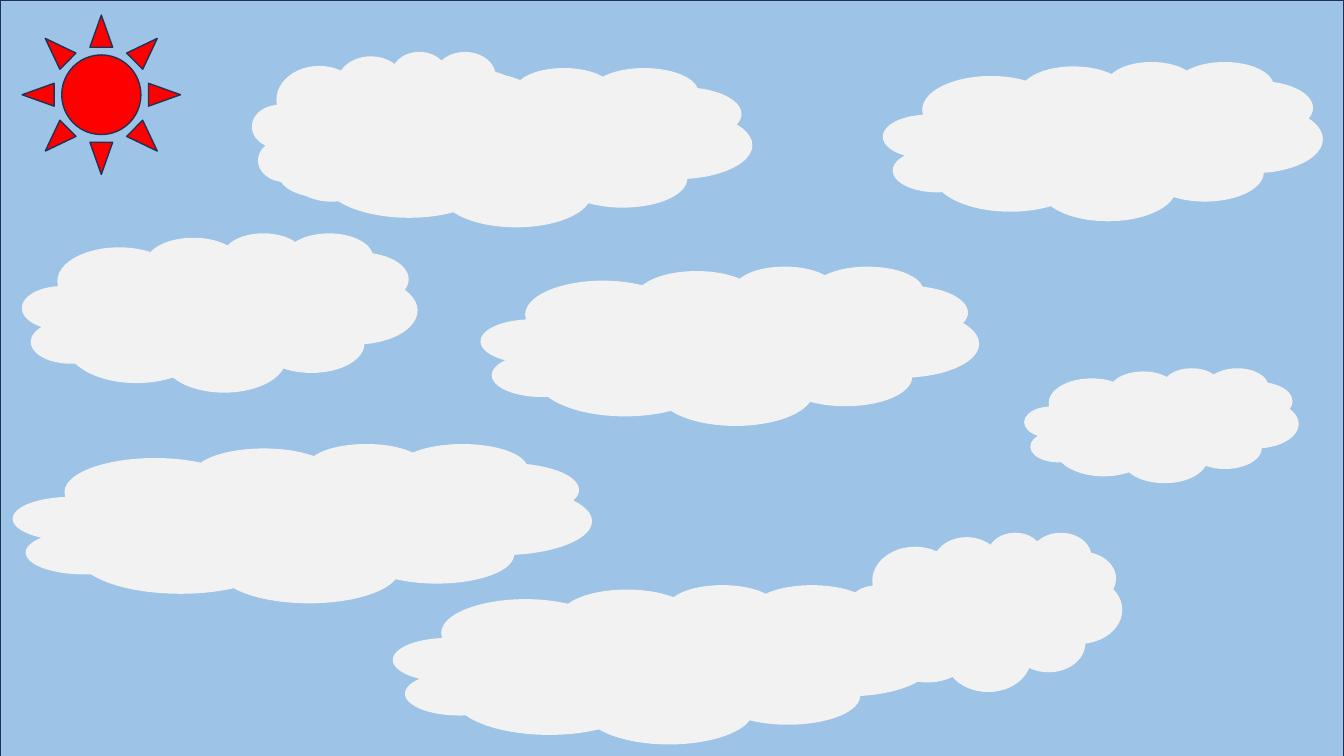
"""Build a slide of a blue sky with a red sun and pale clouds."""
from dataclasses import dataclass

from pptx import Presentation
from pptx.dml.color import RGBColor as Color
from pptx.enum.shapes import MSO_SHAPE as Kind
from pptx.util import Inches, Pt

WIDE, HIGH = 13.33, 7.5
TALL, SLIM = 1.58, 2.72
SKY = (0, 0, WIDE, 7.63)
SUN = (0.22, 0.15, 1.57, TALL)
CLOUDS = [
    (2.5, 0.51, SLIM, TALL),
    (0.22, 2.31, 3.92, TALL),
    (4.77, 2.64, 4.94, TALL),
    (2.67, 0.67, 4.79, TALL),
    (8.76, 0.61, 4.36, TALL),
    (10.16, 3.65, SLIM, 1.14),
    (3.9, 5.8, 5.35, TALL),
    (8.41, 5.28, SLIM, TALL),
    (0.13, 4.4, 5.74, TALL),
]


@dataclass(frozen=True)
class Theme:
    """Hold the colours and the line width."""
    sky: str = "9DC3E6"
    sun: str = "FF0000"
    cloud: str = "F2F2F2"
    edge: str = "1E3256"
    line: float = 1


THEME = Theme()


def draw(group, kind, box, fill, edge=None):
    """Add one filled shape to the group, with an edge if a colour is given."""
    shape = group.shapes.add_shape(kind, *map(Inches, box))
    shape.shadow.inherit = False
    shape.fill.solid()
    shape.fill.fore_color.rgb = Color.from_string(fill)
    if edge:
        shape.line.color.rgb = Color.from_string(edge)
        shape.line.width = Pt(THEME.line)
    else:
        shape.line.fill.background()


def main():
    """Draw the scene from back to front and save it."""
    deck = Presentation()
    deck.slide_width, deck.slide_height = Inches(WIDE), Inches(HIGH)
    slide = deck.slides.add_slide(deck.slide_layouts.get_by_name("Blank"))
    scene = slide.shapes.add_group_shape()
    draw(scene, Kind.RECTANGLE, SKY, THEME.sky, THEME.edge)
    draw(scene, Kind.SUN, SUN, THEME.sun, THEME.edge)
    for box in CLOUDS:
        draw(scene, Kind.CLOUD, box, THEME.cloud)
    deck.save("out.pptx")


if __name__ == "__main__":
    main()
